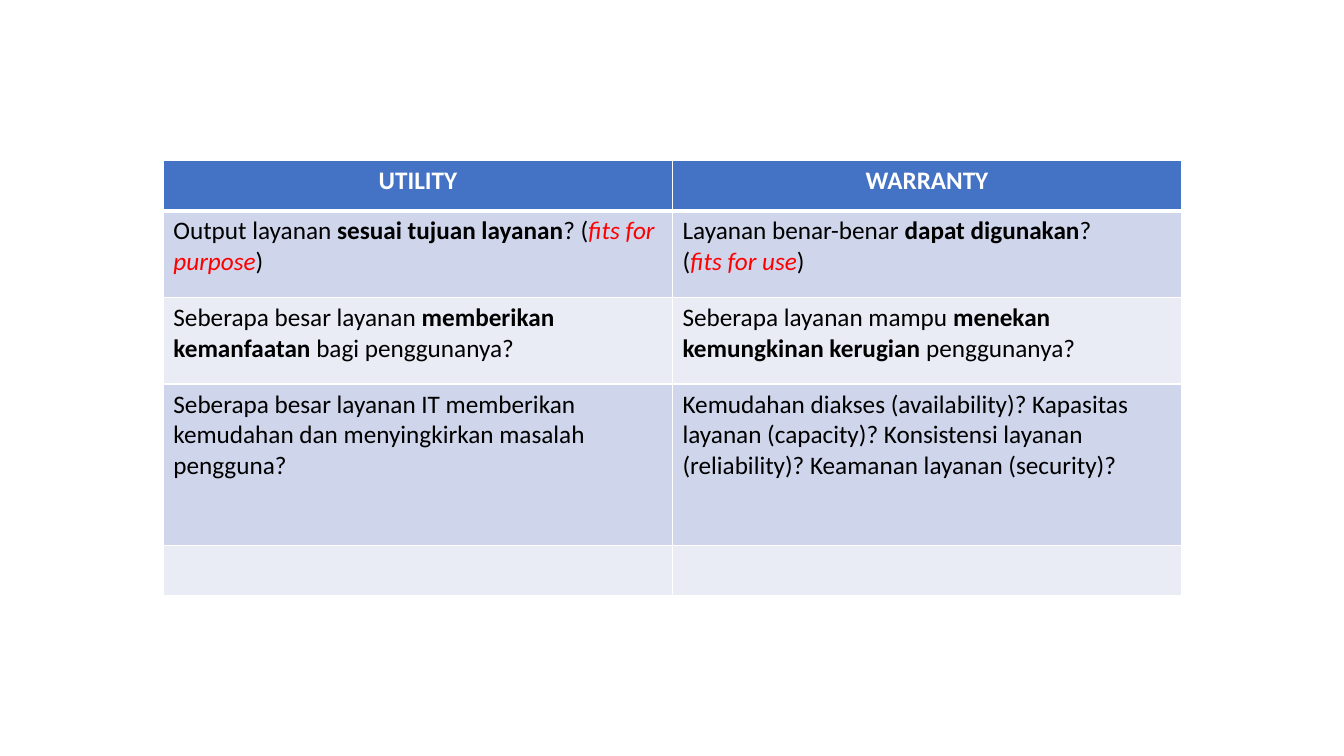
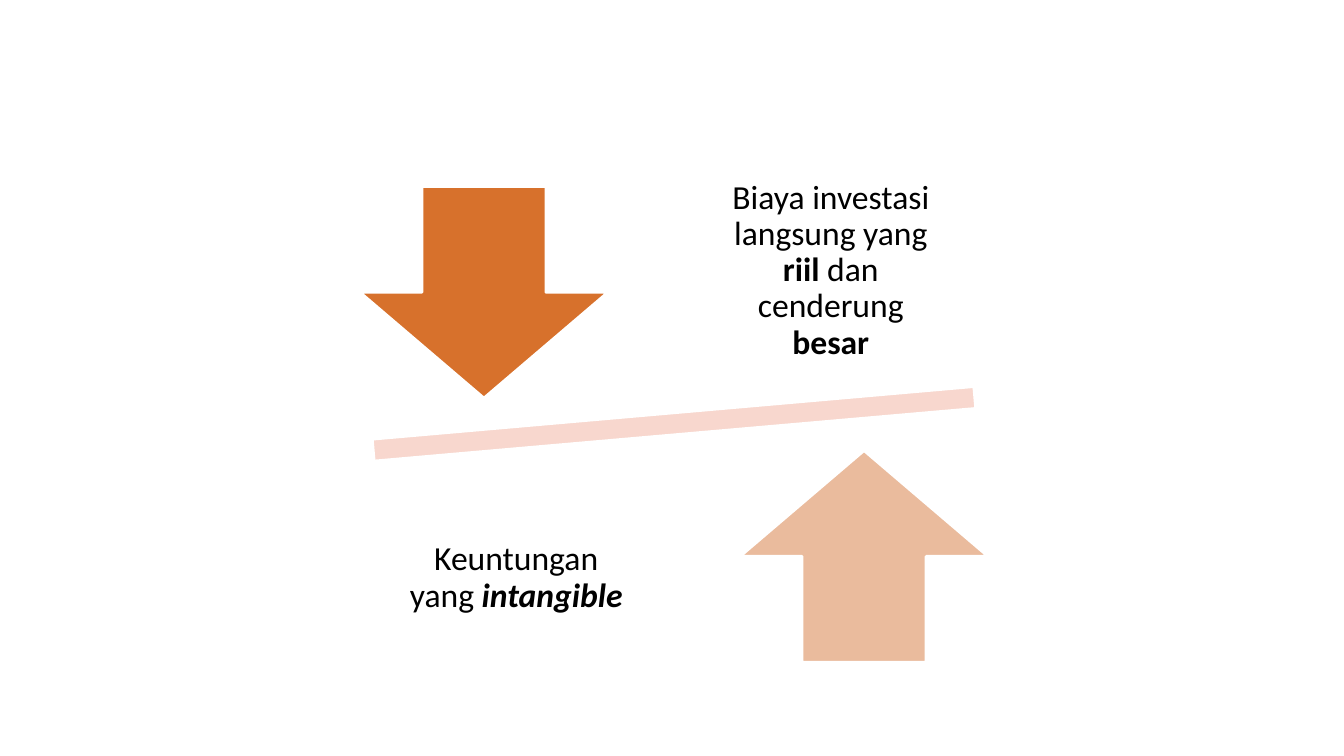
from dataclasses import dataclass
from typing import NamedTuple

from lxml.etree import SubElement
from pptx import Presentation
from pptx.dml.color import RGBColor
from pptx.enum.shapes import MSO_SHAPE
from pptx.enum.text import MSO_ANCHOR, PP_ALIGN
from pptx.oxml.ns import qn
from pptx.util import Inches, Pt


@dataclass(frozen=True)
class Theme:
    """Colours, font and type sizes of the deck."""
    font: str = "Calibri"
    cell: int = 18
    label: int = 24
    white: str = "FFFFFF"
    black: str = "000000"
    red: str = "FF0000"
    head: str = "4472C4"
    odd: str = "CFD5EA"
    even: str = "E9EBF5"
    bar: str = "F8D7CE"
    down: str = "D7712C"
    up: str = "EABB9D"


THEME = Theme()


class Run(NamedTuple):
    """A piece of text with one look."""
    text: str
    bold: bool = False
    slant: bool = False
    color: str = THEME.black


class Box(NamedTuple):
    """A place on the slide, in inches."""
    left: float
    top: float
    width: float
    height: float

    def emu(self) -> list:
        """Return the four lengths for python-pptx."""
        return [Inches(v) for v in self]


class Shape(NamedTuple):
    """A filled preset shape."""
    kind: MSO_SHAPE
    box: Box
    color: str
    turn: int = 0


class Label(NamedTuple):
    """A centred text block."""
    box: Box
    runs: list


HEADS = ["UTILITY", "WARRANTY"]
GRID = Box(1.62, 1.59, 10.1, 4.32)
ROWS = [0.5, 0.86, 0.86, 1.6, 0.5]
CELLS = [
    [[[Run(head, bold=True, color=THEME.white)]] for head in HEADS],
    [
        [[Run("Output layanan "), Run("sesuai tujuan layanan", bold=True), Run("? ("),
          Run("fits for purpose", slant=True, color=THEME.red), Run(")")]],
        [[Run("Layanan benar-benar "), Run("dapat digunakan", bold=True), Run("?")],
         [Run("("), Run("fits for use", slant=True, color=THEME.red), Run(")")]],
    ],
    [
        [[Run("Seberapa besar layanan "), Run("memberikan kemanfaatan ", bold=True),
          Run("bagi penggunanya?")]],
        [[Run("Seberapa layanan mampu "), Run("menekan kemungkinan kerugian ", bold=True),
          Run("penggunanya?")]],
    ],
    [
        [[Run("Seberapa besar layanan IT memberikan kemudahan dan "
              "menyingkirkan masalah pengguna?")]],
        [[Run("Kemudahan diakses (availability)? Kapasitas layanan (capacity)? "
              "Konsistensi layanan (reliability)? Keamanan layanan (security)?")]],
    ],
    [[], []],
]

SHAPES = [
    Shape(MSO_SHAPE.MATH_MINUS, Box(2.61, 3.74, 8.15, 0.93), THEME.bar, -5),
    Shape(MSO_SHAPE.DOWN_ARROW, Box(3.57, 1.85, 2.46, 2.1), THEME.down),
    Shape(MSO_SHAPE.UP_ARROW, Box(7.34, 4.47, 2.46, 2.1), THEME.up),
]
LABELS = [
    Label(Box(6.93, 1.58, 2.62, 2.21),
          [Run("Biaya investasi langsung yang "), Run("riil ", bold=True),
           Run("dan cenderung "), Run("besar", bold=True)]),
    Label(Box(3.81, 4.63, 2.62, 2.21),
          [Run("Keuntungan yang "), Run("intangible", bold=True, slant=True)]),
]


def write(para, runs: list, size: int) -> None:
    """Add styled runs to a paragraph."""
    for item in runs:
        run = para.add_run()
        run.text = item.text
        font = run.font
        font.name, font.size = THEME.font, Pt(size)
        font.bold, font.italic = item.bold, item.slant
        font.color.rgb = RGBColor.from_string(item.color)


def edge(cell, side: str, width: float) -> None:
    """Draw one white border of a cell."""
    line = SubElement(cell._tc.get_or_add_tcPr(), qn(f"a:ln{side}"), w=str(Pt(width)))
    fill = SubElement(line, qn("a:solidFill"))
    SubElement(fill, qn("a:srgbClr"), val=THEME.white)


def fill_cell(cell, paras: list, row: int) -> None:
    """Set the borders, fill and text of a cell."""
    wide = {0: "B", 1: "T"}.get(row)
    for side in "LRTB":
        edge(cell, side, 3 if side == wide else 1)
    color = THEME.head if row == 0 else THEME.odd if row % 2 else THEME.even
    cell.fill.solid()
    cell.fill.fore_color.rgb = RGBColor.from_string(color)
    frame = cell.text_frame
    for num, runs in enumerate(paras):
        para = frame.add_paragraph() if num else frame.paragraphs[0]
        para.alignment = PP_ALIGN.LEFT if row else PP_ALIGN.CENTER
        write(para, runs, THEME.cell)


def add_grid(slide) -> None:
    """Add the comparison table."""
    table = slide.shapes.add_table(len(ROWS), len(HEADS), *GRID.emu()).table
    for col in table.columns:
        col.width = Inches(GRID.width / len(HEADS))
    for row, (high, cells) in enumerate(zip(ROWS, CELLS)):
        table.rows[row].height = Inches(high)
        for col, paras in enumerate(cells):
            fill_cell(table.cell(row, col), paras, row)


def add_form(group, item: Shape) -> None:
    """Add a filled shape with a white outline."""
    form = group.shapes.add_shape(item.kind, *item.box.emu())
    form.shadow.inherit = False
    form.rotation = item.turn
    form.fill.solid()
    form.fill.fore_color.rgb = RGBColor.from_string(item.color)
    form.line.color.rgb = RGBColor.from_string(THEME.white)
    form.line.width = Pt(2)


def add_label(group, item: Label) -> None:
    """Add a centred text block."""
    frame = group.shapes.add_textbox(*item.box.emu()).text_frame
    frame.word_wrap = True
    frame.vertical_anchor = MSO_ANCHOR.MIDDLE
    frame.margin_left = frame.margin_right = Inches(0.19)
    frame.margin_top = frame.margin_bottom = Inches(0.19)
    para = frame.paragraphs[0]
    para.alignment = PP_ALIGN.CENTER
    para.line_spacing = 0.9
    write(para, item.runs, THEME.label)


def add_scale(slide) -> None:
    """Add the balance of costs and gains."""
    group = slide.shapes.add_group_shape()
    for item in SHAPES:
        add_form(group, item)
    for item in LABELS:
        add_label(group, item)


def main() -> None:
    """Build and save the deck."""
    deck = Presentation()
    deck.slide_width, deck.slide_height = Inches(13.33), Inches(7.5)
    blank = deck.slide_layouts.get_by_name("Blank")
    for draw in (add_grid, add_scale):
        draw(deck.slides.add_slide(blank))
    deck.save("out.pptx")


if __name__ == "__main__":
    main()
